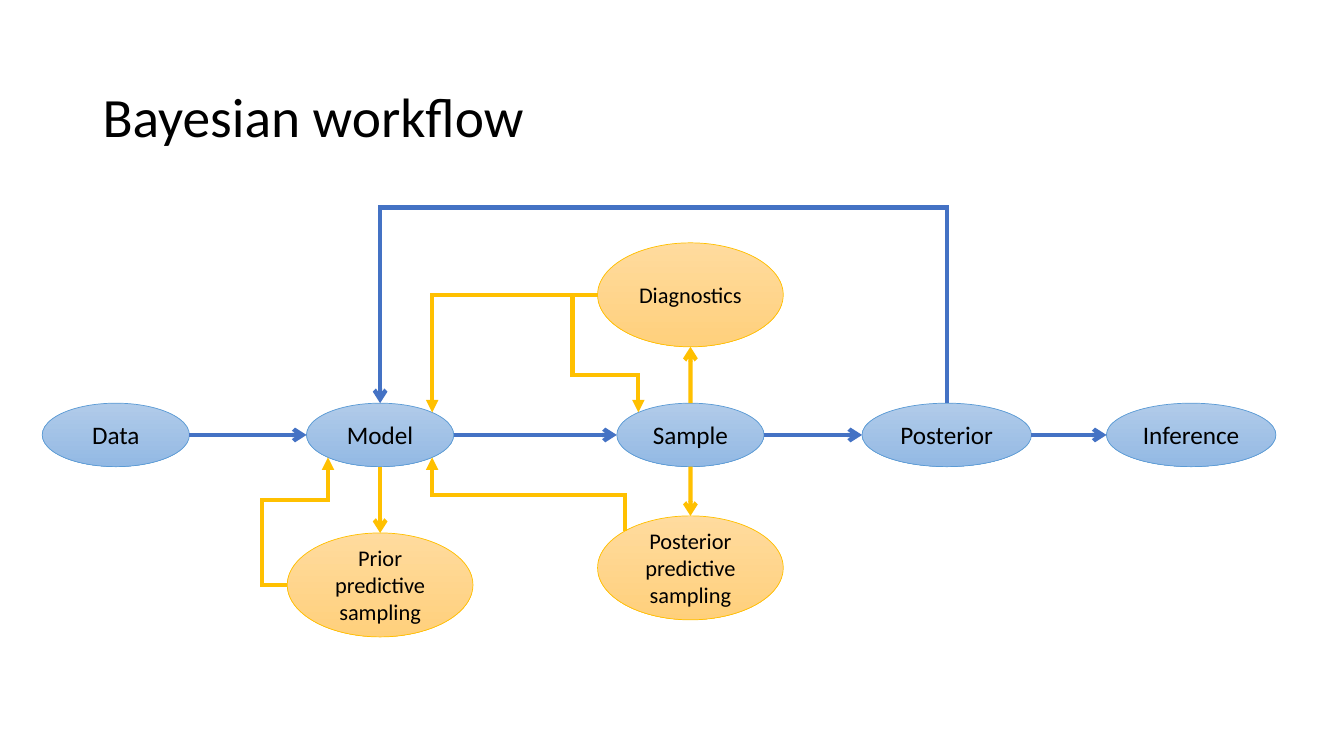
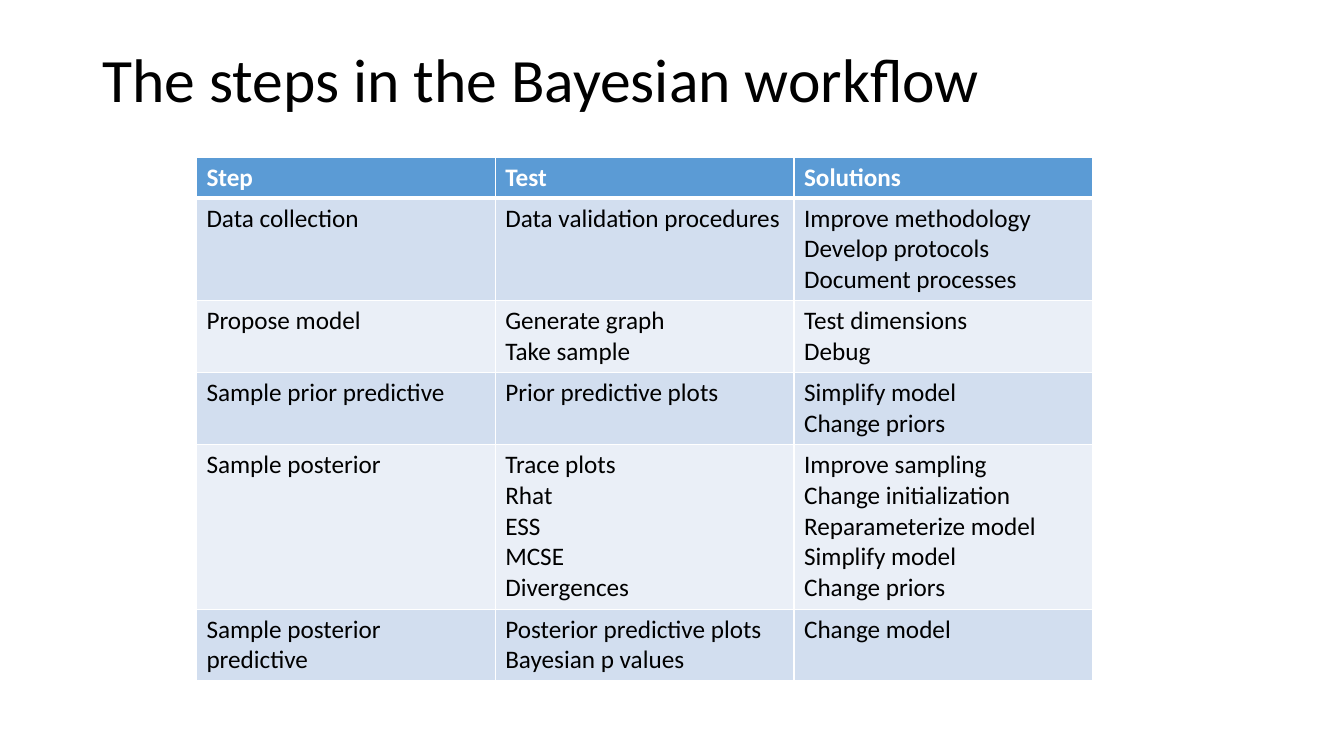
from dataclasses import dataclass
from enum import Enum
from math import sqrt

from lxml.etree import SubElement
from pptx import Presentation
from pptx.dml.color import RGBColor
from pptx.enum.shapes import MSO_CONNECTOR, MSO_SHAPE
from pptx.enum.text import MSO_ANCHOR, MSO_AUTO_SIZE, PP_ALIGN
from pptx.oxml.ns import qn
from pptx.shapes.base import BaseShape
from pptx.slide import Slide
from pptx.text.text import TextFrame
from pptx.util import Cm, Pt

# Shared look
FONT = "Calibri"
BLACK = RGBColor(0x00, 0x00, 0x00)
WHITE = RGBColor(0xFF, 0xFF, 0xFF)
BLUE = RGBColor(0x44, 0x72, 0xC4)
GOLD = RGBColor(0xFF, 0xC0, 0x00)
SKY = RGBColor(0x5B, 0x9B, 0xD5)
SKY_TOP = RGBColor(0xB1, 0xCB, 0xE9)
SKY_BOTTOM = RGBColor(0x93, 0xB9, 0xE4)
GOLD_TOP = RGBColor(0xFF, 0xDB, 0x9E)
GOLD_BOTTOM = RGBColor(0xFF, 0xD0, 0x7C)
BANDS = (RGBColor(0xD2, 0xDE, 0xEF), RGBColor(0xEA, 0xEF, 0xF7))
TITLE_ONLY = 5
DIAG = sqrt(0.5)


@dataclass(frozen=True)
class NodeStyle:
    top: RGBColor
    bottom: RGBColor
    outline: RGBColor
    size: float


STAGE = NodeStyle(SKY_TOP, SKY_BOTTOM, SKY, 18)
CHECK = NodeStyle(GOLD_TOP, GOLD_BOTTOM, GOLD, 16)


class Site(Enum):
    """Connection site of an ellipse: index, then direction from the centre."""
    TOP = (0, 0, -1)
    TOP_LEFT = (1, -DIAG, -DIAG)
    LEFT = (2, -1, 0)
    BOTTOM_LEFT = (3, -DIAG, DIAG)
    BOTTOM = (4, 0, 1)
    BOTTOM_RIGHT = (5, DIAG, DIAG)
    RIGHT = (6, 1, 0)
    TOP_RIGHT = (7, DIAG, -DIAG)


@dataclass(frozen=True)
class Node:
    """Ellipse given by its centre and size in centimetres."""
    text: str
    cx: float
    cy: float
    width: float
    height: float
    style: NodeStyle


@dataclass(frozen=True)
class Link:
    start: str
    start_site: Site
    end: str
    end_site: Site
    color: RGBColor
    head: str = "arrow"
    rails: tuple[float, ...] = ()  # x and y of the bends, in turn (cm)


# Workflow diagram
ROW_Y = 10.96
NODES = (
    Node("Data", 2.92, ROW_Y, 3.71, 1.6, STAGE),
    Node("Model", 9.58, ROW_Y, 3.71, 1.6, STAGE),
    Node("Sample", 17.4, ROW_Y, 3.71, 1.6, STAGE),
    Node("Posterior", 23.86, ROW_Y, 4.27, 1.6, STAGE),
    Node("Inference", 30.02, ROW_Y, 4.27, 1.6, STAGE),
    Node("Prior predictive sampling", 9.58, 14.74, 4.68, 2.62, CHECK),
    Node("Diagnostics", 17.4, 7.43, 4.68, 2.62, CHECK),
    Node("Posterior predictive sampling", 17.4, 14.31, 4.68, 2.62, CHECK),
)
STAGES = [node.text for node in NODES if node.style is STAGE]
STRAIGHT_LINKS = (
    *(Link(a, Site.RIGHT, b, Site.LEFT, BLUE) for a, b in zip(STAGES, STAGES[1:])),
    Link("Model", Site.BOTTOM, "Prior predictive sampling", Site.TOP, GOLD),
    Link("Sample", Site.TOP, "Diagnostics", Site.BOTTOM, GOLD),
    Link("Sample", Site.BOTTOM, "Posterior predictive sampling", Site.TOP, GOLD),
)
BENT_LINKS = (
    Link("Prior predictive sampling", Site.LEFT, "Model", Site.BOTTOM_LEFT,
         GOLD, "triangle", (6.6, 12.6)),
    Link("Diagnostics", Site.LEFT, "Sample", Site.TOP_LEFT,
         GOLD, "triangle", (14.43, 9.45)),
    Link("Diagnostics", Site.LEFT, "Model", Site.TOP_RIGHT, GOLD, "triangle"),
    Link("Posterior predictive sampling", Site.TOP_LEFT, "Model", Site.BOTTOM_RIGHT,
         GOLD, "triangle", (12.47,)),
    Link("Posterior", Site.TOP, "Model", Site.TOP, BLUE, rails=(5.23,)),
)

# Table of steps
HEADER = ("Step", "Test", "Solutions")
STEPS = (
    ("Data collection", "Data validation procedures",
     "Improve methodology\nDevelop protocols\nDocument processes"),
    ("Propose model", "Generate graph\nTake sample", "Test dimensions\nDebug"),
    ("Sample prior predictive", "Prior predictive plots",
     "Simplify model\nChange priors"),
    ("Sample posterior", "Trace plots\nRhat\nESS\nMCSE\nDivergences",
     "Improve sampling\nChange initialization\nReparameterize model\n"
     "Simplify model\nChange priors"),
    ("Sample posterior predictive", "Posterior predictive plots\nBayesian p values",
     "Change model"),
)
TABLE_LEFT, TABLE_TOP, COLUMN_WIDTH = 4.95, 3.96, 7.53
LINE_HEIGHT, CELL_PADDING = 0.78, 0.25


def format_text(tf: TextFrame, size: float, color: RGBColor = BLACK,
                bold: bool = False, align: PP_ALIGN = PP_ALIGN.LEFT) -> None:
    for p in tf.paragraphs:
        p.alignment = align
        for r in p.runs:
            r.font.name = FONT
            r.font.size = Pt(size)
            r.font.bold = bold
            r.font.color.rgb = color


def add_titled_slide(prs: Presentation, title: str, size: float, height: float) -> Slide:
    slide = prs.slides.add_slide(prs.slide_layouts[TITLE_ONLY])
    sp = slide.shapes.title
    sp.left, sp.top, sp.width, sp.height = Cm(2.33), Cm(1.01), Cm(29.21), Cm(height)
    tf = sp.text_frame
    tf.text = title
    tf.auto_size = MSO_AUTO_SIZE.NONE
    tf.vertical_anchor = MSO_ANCHOR.MIDDLE
    tf.paragraphs[0].line_spacing = 0.9
    format_text(tf, size)
    return slide


def add_node(slide: Slide, node: Node) -> BaseShape:
    sp = slide.shapes.add_shape(
        MSO_SHAPE.OVAL, Cm(node.cx - node.width / 2), Cm(node.cy - node.height / 2),
        Cm(node.width), Cm(node.height))
    sp.shadow.inherit = False
    sp.fill.gradient()
    sp.fill.gradient_angle = 270
    for stop, color in zip(sp.fill.gradient_stops, (node.style.top, node.style.bottom)):
        stop.color.rgb = color
    sp.line.color.rgb = node.style.outline
    sp.line.width = Pt(0.5)
    tf = sp.text_frame
    tf.text = node.text
    tf.word_wrap = True
    tf.vertical_anchor = MSO_ANCHOR.MIDDLE
    tf.margin_left = tf.margin_right = Cm(0.22)
    format_text(tf, node.style.size, align=PP_ALIGN.CENTER)
    return sp


def site_point(sp: BaseShape, site: Site) -> tuple[int, int]:
    _, dx, dy = site.value
    return (round(sp.left + sp.width * (1 + dx) / 2),
            round(sp.top + sp.height * (1 + dy) / 2))


def style_link(sp: BaseShape, link: Link) -> None:
    sp.line.color.rgb = link.color
    sp.line.width = Pt(3)
    ln = sp.element.spPr.find(qn("a:ln"))
    SubElement(ln, qn("a:miter"), lim="800000")
    SubElement(ln, qn("a:tailEnd"), type=link.head)


def add_straight_link(slide: Slide, shapes: dict[str, BaseShape], link: Link) -> None:
    ends = (("a:stCxn", shapes[link.start], link.start_site),
            ("a:endCxn", shapes[link.end], link.end_site))
    (x1, y1), (x2, y2) = (site_point(sp, site) for _, sp, site in ends)
    cxn = slide.shapes.add_connector(MSO_CONNECTOR.STRAIGHT, x1, y1, x2, y2)
    style_link(cxn, link)
    SubElement(cxn.element.spPr, qn("a:effectLst"))
    # Ellipses have eight sites, so the joins are written directly
    joins = cxn.element.nvCxnSpPr.cNvCxnSpPr
    for tag, sp, site in ends:
        SubElement(joins, qn(tag), id=str(sp.shape_id), idx=str(site.value[0]))


def add_bent_link(slide: Slide, shapes: dict[str, BaseShape], link: Link) -> None:
    x, y = start = site_point(shapes[link.start], link.start_site)
    end = site_point(shapes[link.end], link.end_site)
    horizontal = link.start_site in (Site.LEFT, Site.RIGHT)
    points = []
    for rail in link.rails:
        x, y = (Cm(rail), y) if horizontal else (x, Cm(rail))
        points.append((x, y))
        horizontal = not horizontal
    points += [(end[0], y) if horizontal else (x, end[1]), end]
    builder = slide.shapes.build_freeform(*start)
    builder.add_line_segments(points, close=False)
    sp = builder.convert_to_shape()
    sp.shadow.inherit = False
    sp.fill.background()
    style_link(sp, link)


def add_step_table(slide: Slide) -> None:
    rows = (HEADER, *STEPS)
    heights = [CELL_PADDING + LINE_HEIGHT * max(text.count("\n") + 1 for text in row)
               for row in rows]
    table = slide.shapes.add_table(
        len(rows), len(HEADER), Cm(TABLE_LEFT), Cm(TABLE_TOP),
        Cm(COLUMN_WIDTH * len(HEADER)), Cm(sum(heights))).table
    for column in table.columns:
        column.width = Cm(COLUMN_WIDTH)
    for i, row in enumerate(rows):
        table.rows[i].height = Cm(heights[i])
        is_header = i == 0
        borders = {"L": 1, "R": 1, "T": 3 if i == 1 else 1, "B": 3 if is_header else 1}
        for j, text in enumerate(row):
            cell = table.cell(i, j)
            cell.text_frame.text = text
            format_text(cell.text_frame, 18, WHITE if is_header else BLACK, is_header)
            tc_pr = cell._tc.get_or_add_tcPr()
            for side, width in borders.items():
                ln = SubElement(tc_pr, qn(f"a:ln{side}"), w=str(Pt(width)))
                fill = SubElement(ln, qn("a:solidFill"))
                SubElement(fill, qn("a:srgbClr"), val=str(WHITE))
            cell.fill.solid()
            cell.fill.fore_color.rgb = SKY if is_header else BANDS[(i - 1) % 2]


def main() -> None:
    prs = Presentation()
    prs.slide_width, prs.slide_height = Cm(33.87), Cm(19.05)

    # Slide 1: diagram
    slide = add_titled_slide(prs, "Bayesian workflow", 39.6, 4)
    shapes = {node.text: add_node(slide, node) for node in NODES}
    for link in STRAIGHT_LINKS:
        add_straight_link(slide, shapes, link)
    for link in BENT_LINKS:
        add_bent_link(slide, shapes, link)

    # Slide 2: table
    slide = add_titled_slide(prs, "The steps in the Bayesian workflow", 44, 2.15)
    add_step_table(slide)

    prs.save("out.pptx")


if __name__ == "__main__":
    main()
